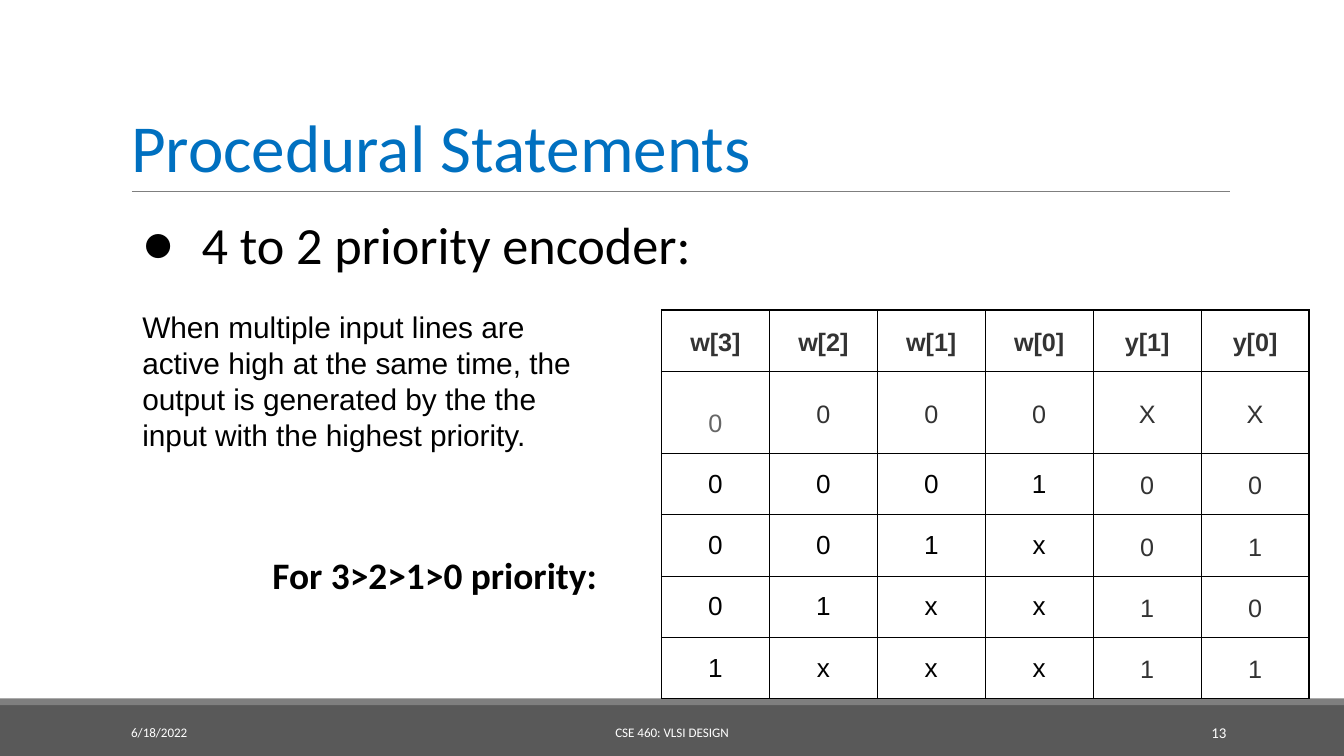
from typing import NamedTuple, Optional

from lxml.etree import SubElement
from pptx import Presentation
from pptx.dml.color import RGBColor
from pptx.enum.shapes import MSO_CONNECTOR, MSO_SHAPE
from pptx.enum.text import MSO_ANCHOR as Anchor, MSO_AUTO_SIZE as AutoSize, PP_ALIGN as Align
from pptx.oxml import parse_xml
from pptx.oxml.ns import nsdecls, qn
from pptx.util import Cm, Pt

BLACK = RGBColor(0x00, 0x00, 0x00)
WHITE = RGBColor(0xFF, 0xFF, 0xFF)
BLUE = RGBColor(0x00, 0x70, 0xC0)
DARK_GREY = RGBColor(0x59, 0x59, 0x59)
MID_GREY = RGBColor(0x7F, 0x7F, 0x7F)
CELL_GREY = RGBColor(0x33, 0x33, 0x33)
PALE_GREY = RGBColor(0x66, 0x66, 0x66)


class Style(NamedTuple):
    size: float
    font: str = "Calibri"
    color: RGBColor = BLACK
    bold: bool = False
    align: Align = Align.LEFT
    spacing: Optional[float] = None


class Label(NamedTuple):
    text: str
    left: float
    top: float
    width: float
    height: float
    style: Style
    anchor: Anchor = Anchor.TOP
    margins: tuple = (0.25, 0.25)


class Band(NamedTuple):
    top: float
    height: float
    color: RGBColor


BANDS = [Band(13.33, 0.96, DARK_GREY), Band(13.2, 0.13, MID_GREY)]

FOOTER = dict(top=13.47, height=0.76, anchor=Anchor.MIDDLE, margins=(0.19, 0.1))
FOOTER_LABELS = [
    Label("13", left=20.62, width=2.75, style=Style(8, color=WHITE, align=Align.RIGHT), **FOOTER),
    Label("6/18/2022", left=2.29, width=5.15, style=Style(7, color=WHITE), **FOOTER),
    Label("CSE 460: VLSI DESIGN", left=7.67, width=10.06,
          style=Style(7, color=WHITE, align=Align.CENTER), **FOOTER),
]
HEADING = Label("4 to 2 priority encoder:", 2.29, 3.76, 21.89, 1.7, Style(28))
BODY_LABELS = [
    Label("When multiple input lines are active high at the same time, the output is "
          "generated by the the input with the highest priority.",
          2.44, 5.59, 9.19, 3.25, Style(16, "Arial")),
    Label("For 3>2>1>0 priority:", 4.9, 10.19, 6.76, 1.37, Style(20, bold=True)),
]

TRUTH_TABLE = [
    ["w[3]", "w[2]", "w[1]", "w[0]", "y[1]", "y[0]"],
    ["0", "0", "0", "0", "X", "X"],
    ["0", "0", "0", "1", "0", "0"],
    ["0", "0", "1", "x", "0", "1"],
    ["0", "1", "x", "x", "1", "0"],
    ["1", "x", "x", "x", "1", "1"],
]
INPUT_COUNT = 4
COLUMN_WIDTH = 2.04
ROW_HEIGHTS = [1.16, 1.55, 1.16, 1.16, 1.16, 1.16]

OUTPUT_STYLE = Style(13.5, "Arial", CELL_GREY, align=Align.CENTER, spacing=1.15)
HEADER_STYLE = OUTPUT_STYLE._replace(bold=True)
IDLE_STYLE = OUTPUT_STYLE._replace(color=PALE_GREY, spacing=1.82)
INPUT_STYLE = Style(14, "Arial", align=Align.CENTER)


def write(frame, text: str, style: Style):
    para = frame.paragraphs[0]
    para.text = text
    para.alignment = style.align
    if style.spacing:
        para.line_spacing = style.spacing
    font = para.font
    font.name, font.size, font.bold = style.font, Pt(style.size), style.bold
    font.color.rgb = style.color
    return para


def add_label(page, label: Label):
    box = page.shapes.add_textbox(Cm(label.left), Cm(label.top), Cm(label.width), Cm(label.height))
    frame = box.text_frame
    frame.word_wrap = True
    frame.vertical_anchor = label.anchor
    side, end = label.margins
    frame.margin_left = frame.margin_right = Cm(side)
    frame.margin_top = frame.margin_bottom = Cm(end)
    return write(frame, label.text, label.style)


def add_bullet(para) -> None:
    properties = para._p.get_or_add_pPr()
    properties.set("marL", str(Cm(1.27)))
    properties.set("indent", str(Cm(-1.12)))
    font_defaults = properties.find(qn("a:defRPr"))
    for xml in (f'<a:buClr {nsdecls("a")}><a:srgbClr val="{BLACK}"/></a:buClr>',
                f'<a:buFont {nsdecls("a")} typeface="Calibri"/>',
                f'<a:buChar {nsdecls("a")} char="●"/>'):
        font_defaults.addprevious(parse_xml(xml))


def add_band(page, deck, band: Band) -> None:
    shape = page.shapes.add_shape(MSO_SHAPE.RECTANGLE, 0, Cm(band.top),
                                  deck.slide_width, Cm(band.height))
    shape.shadow.inherit = False
    shape.fill.solid()
    shape.fill.fore_color.rgb = band.color
    shape.line.fill.background()


def add_title_rule(page) -> None:
    rule = page.shapes.add_connector(MSO_CONNECTOR.STRAIGHT, Cm(2.49), Cm(3.62), Cm(23.24), Cm(3.62))
    rule.line.color.rgb = MID_GREY
    rule.line.width = Pt(0.75)
    SubElement(rule._element.spPr, qn("a:effectLst"))


def set_title(page) -> None:
    title = page.shapes.title
    title.left, title.top, title.width, title.height = Cm(2.29), Cm(0.61), Cm(20.96), Cm(3.02)
    frame = title.text_frame
    frame.auto_size = AutoSize.NONE
    frame.vertical_anchor = Anchor.BOTTOM
    frame.margin_left = frame.margin_right = Cm(0.19)
    frame.margin_top = frame.margin_bottom = Cm(0.1)
    write(frame, "Procedural Statements", Style(36, color=BLUE, spacing=0.85))


def add_borders(cell) -> None:
    properties = cell._tc.get_or_add_tcPr()
    for side in ("lnL", "lnR", "lnT", "lnB"):
        properties.append(parse_xml(
            f'<a:{side} {nsdecls("a")} w="{Pt(0.75)}"><a:solidFill>'
            f'<a:srgbClr val="{BLACK}"/></a:solidFill></a:{side}>'))


def cell_style(row: int, column: int) -> Style:
    if row == 0:
        return HEADER_STYLE
    if row == 1:
        return IDLE_STYLE if column == 0 else OUTPUT_STYLE
    return INPUT_STYLE if column < INPUT_COUNT else OUTPUT_STYLE


def add_truth_table(page) -> None:
    rows, columns = len(TRUTH_TABLE), len(TRUTH_TABLE[0])
    table = page.shapes.add_table(rows, columns, Cm(12.5), Cm(5.86),
                                  Cm(COLUMN_WIDTH * columns), Cm(sum(ROW_HEIGHTS))).table
    table.first_row = table.horz_banding = False
    for column in table.columns:
        column.width = Cm(COLUMN_WIDTH)
    for row, height in zip(table.rows, ROW_HEIGHTS):
        row.height = Cm(height)
    for r, values in enumerate(TRUTH_TABLE):
        for c, value in enumerate(values):
            cell = table.cell(r, c)
            cell.vertical_anchor = Anchor.MIDDLE
            cell.margin_left = cell.margin_right = cell.margin_top = cell.margin_bottom = Cm(0.25)
            add_borders(cell)
            cell.fill.background()
            write(cell.text_frame, value, cell_style(r, c))


def main() -> None:
    deck = Presentation()
    deck.slide_width, deck.slide_height = Cm(25.4), Cm(14.29)
    page = deck.slides.add_slide(deck.slide_layouts.get_by_name("Title Only"))
    for band in BANDS:
        add_band(page, deck, band)
    add_title_rule(page)
    set_title(page)
    for label in FOOTER_LABELS:
        add_label(page, label)
    add_bullet(add_label(page, HEADING))
    for label in BODY_LABELS:
        add_label(page, label)
    add_truth_table(page)
    deck.save("out.pptx")


if __name__ == "__main__":
    main()
